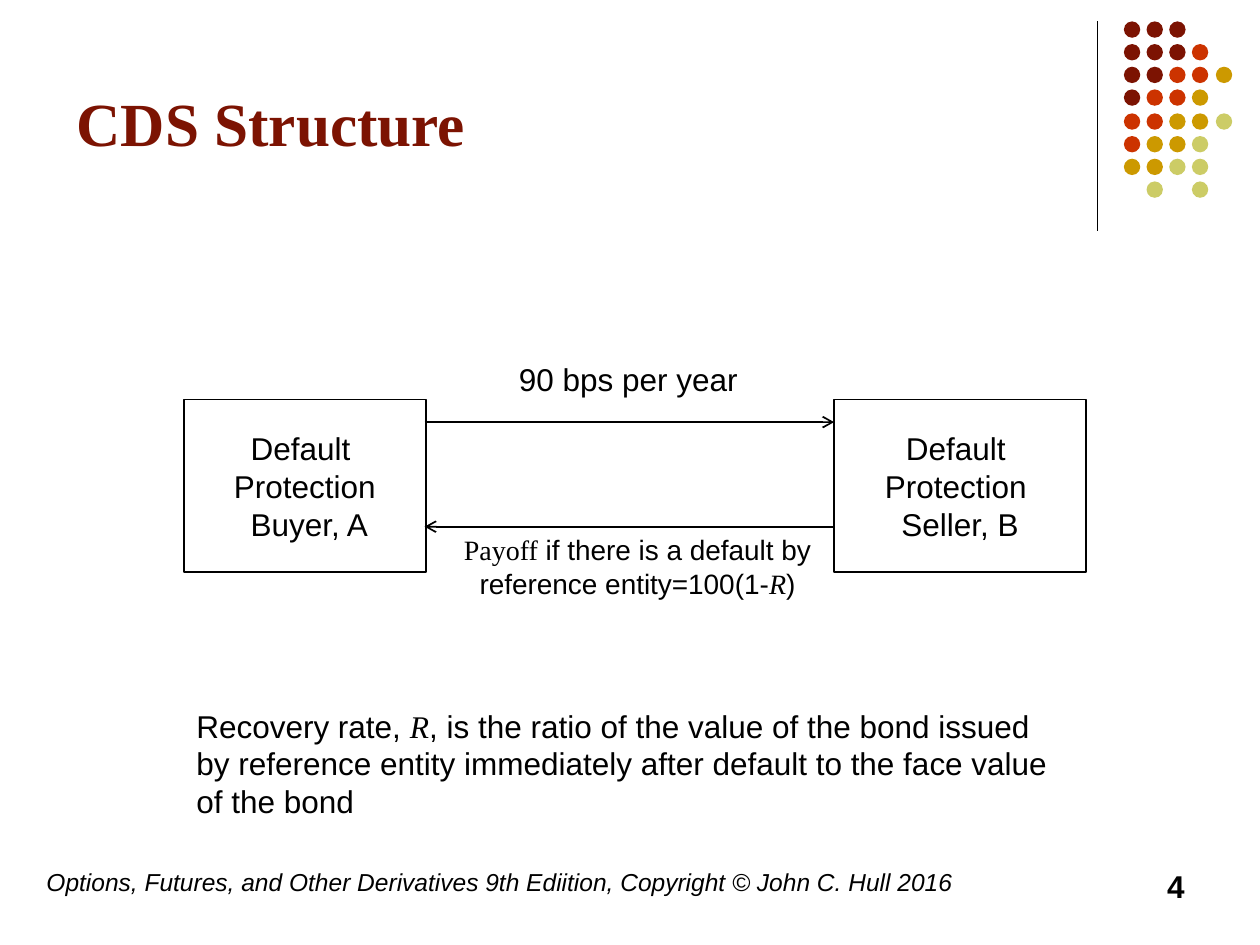
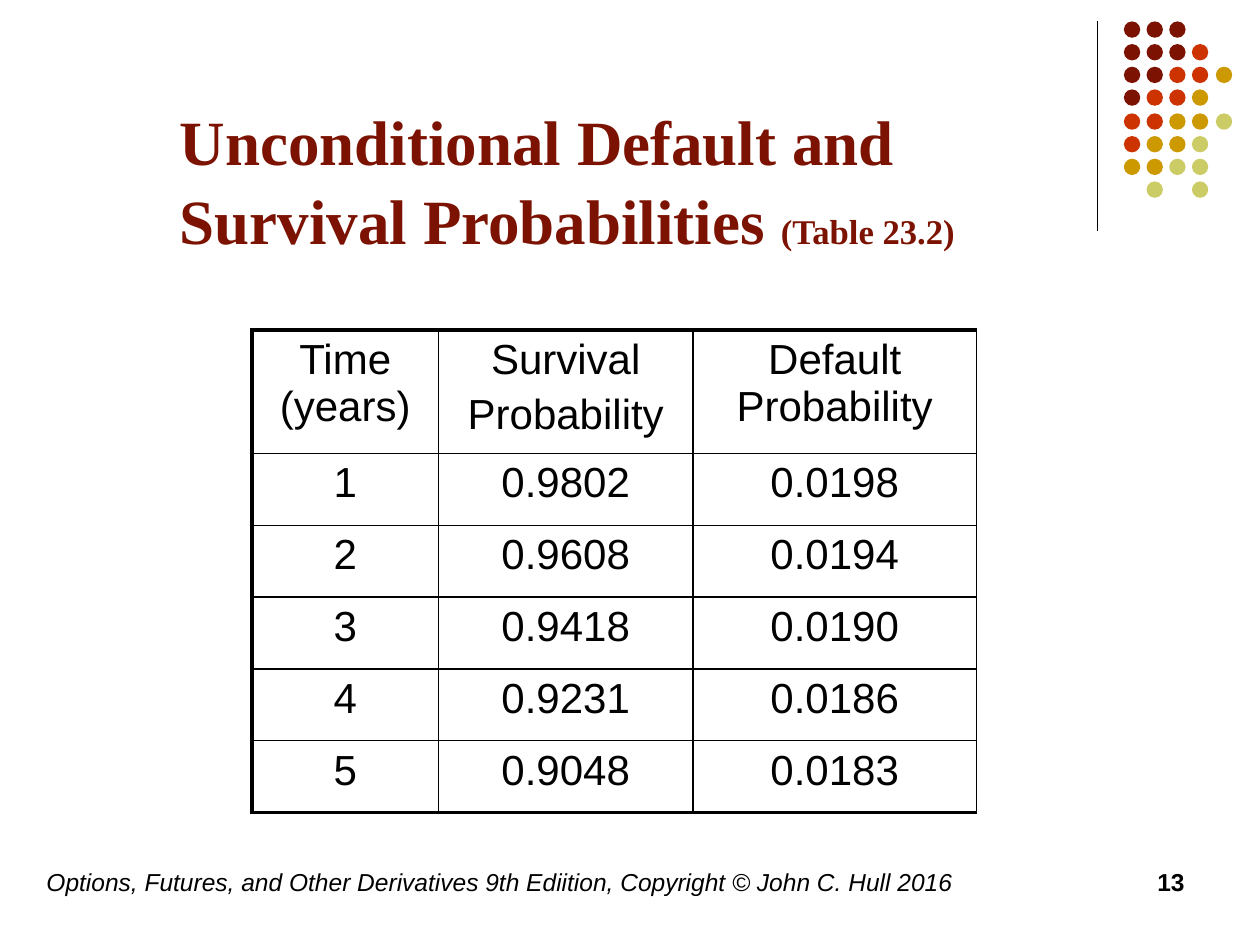
"""Builds two slides on credit default swaps: the contract structure and a probability table."""
from lxml.etree import SubElement
from pptx import Presentation
from pptx.dml.color import RGBColor
from pptx.enum.shapes import MSO_CONNECTOR as LINE, MSO_SHAPE as SHAPE
from pptx.enum.text import MSO_ANCHOR as ANCHOR, PP_ALIGN as ALIGN
from pptx.oxml.ns import qn
from pptx.util import Pt

PX = 9144
COLORS = {"ink": "000000", "paper": "FFFFFF", "maroon": "7C1302",
          "red": "CC3300", "gold": "CC9900", "olive": "CCCC66"}

BODY = {"name": "Arial", "size": Pt(18), "bold": False, "italic": False}
TITLE = {"name": "Times New Roman", "size": Pt(35), "bold": True, "color": "maroon"}
WIDE_TITLE = {**TITLE, "size": Pt(36)}
TITLE_NOTE = {"size": Pt(19.8)}
FOOTER = {"size": Pt(14), "italic": True}
SMALL = {"size": Pt(16)}
SERIF = {"name": "Times New Roman"}
SYMBOL = {**SERIF, "italic": True}
CELL = {"size": Pt(24)}

FOOTER_TEXT = "Options, Futures, and Other Derivatives 9th Ediition, Copyright © John C. Hull 2016"
FOOTER_AT = (27, 683, 855, 50)
NUMBER_AT = (717, 683, 233, 50)
RULE = (871, 17, 871, 183)
DOT_COLORS = {"m": "maroon", "r": "red", "g": "gold", "o": "olive"}
DOT_ROWS = ["mmm", "mmmr", "mmrrg", "mrrg", "rrggo", "rggo", "ggoo", " o o"]
DOT_ORIGIN, DOT_SIZE, DOTS_SPAN, DOTS_IN_SPAN = (892, 17), 13, 73, 4

PARTIES = [
    ((146, 317, 192, 137), ["Default ", "Protection", " Buyer, A"]),
    ((662, 317, 200, 137), ["Default ", "Protection ", "Seller, B"]),
]
PAYMENTS = [(337, 335, 662, 335), (662, 418, 337, 418)]
PREMIUM = [[("90 bps per year", {})]]
PAYOFF = [[("Payoff", SERIF), (" if there is a default by reference entity=100(1-", {}),
           ("R", SYMBOL), (")", {})]]
RECOVERY = [[("Recovery rate, ", {}), ("R", SYMBOL),
             (", is the ratio of the value of the bond issued by reference entity "
              "immediately after default to the face value of the bond", {})]]

PROBABILITIES = [
    (["Time (years)"], ["Survival", "Probability"], ["Default Probability"]),
    (["1"], ["0.9802"], ["0.0198"]),
    (["2"], ["0.9608"], ["0.0194"]),
    (["3"], ["0.9418"], ["0.0190"]),
    (["4"], ["0.9231"], ["0.0186"]),
    (["5"], ["0.9048"], ["0.0183"]),
]
TABLE_AT = (200, 262)
COLUMN_WIDTHS = [148, 202, 225]
ROW_HEIGHTS = [98] + [57] * 5
THIN, THICK = Pt(1), Pt(2.25)


def scaled(lengths):
    return [length * PX for length in lengths]


def rgb(name):
    return RGBColor.from_string(COLORS[name])


def plain(lines):
    return [[(line, {})] for line in lines]


def write(frame, paragraphs, base={}, align=ALIGN.LEFT, gap=0, spacing=None):
    for index, runs in enumerate(paragraphs):
        paragraph = frame.add_paragraph() if index else frame.paragraphs[0]
        paragraph.alignment = align
        paragraph.space_before = Pt(gap if index else 0)
        paragraph.line_spacing = spacing
        for words, changes in runs:
            run = paragraph.add_run()
            run.text = words
            formats = {"color": "ink", **BODY, **base, **changes}
            run.font.color.rgb = rgb(formats.pop("color"))
            for key, value in formats.items():
                setattr(run.font, key, value)


def add_text(slide, at, paragraphs, base={}, anchor=ANCHOR.TOP, **layout):
    frame = slide.shapes.add_textbox(*scaled(at)).text_frame
    frame.word_wrap = True
    frame.vertical_anchor = anchor
    write(frame, paragraphs, base, **layout)


def add_solid(slide, kind, at, fill):
    solid = slide.shapes.add_shape(kind, *scaled(at))
    solid.shadow.inherit = False
    solid.fill.solid()
    solid.fill.fore_color.rgb = rgb(fill)
    solid.line.fill.background()
    return solid


def add_line(slide, ends, width, arrow=False):
    line = slide.shapes.add_connector(LINE.STRAIGHT, *scaled(ends))
    line.line.color.rgb = rgb("ink")
    line.line.width = width
    properties = line.element.spPr
    if arrow:
        SubElement(properties.find(qn("a:ln")), qn("a:tailEnd"), type="arrow")
    SubElement(properties, qn("a:effectLst"))


def add_border(cell, side, width):
    edge = SubElement(cell.get_or_add_tcPr(), qn(f"a:ln{side}"), w=str(width))
    SubElement(SubElement(edge, qn("a:solidFill")), qn("a:srgbClr"), val=COLORS["ink"])


def start_slide(deck, number, number_size):
    slide = deck.slides.add_slide(deck.slide_layouts[6])
    add_line(slide, RULE, Pt(0.75))
    for row, dots in enumerate(DOT_ROWS):
        for column, dot in enumerate(dots):
            if dot in DOT_COLORS:
                left, top = (start + DOTS_SPAN * step // DOTS_IN_SPAN
                             for start, step in zip(DOT_ORIGIN, (column, row)))
                add_solid(slide, SHAPE.OVAL, (left, top, DOT_SIZE, DOT_SIZE), DOT_COLORS[dot])
    add_text(slide, FOOTER_AT, plain([FOOTER_TEXT]), FOOTER)
    add_text(slide, NUMBER_AT, plain([number]), {"size": number_size, "bold": True},
             align=ALIGN.RIGHT)
    return slide


def build_structure(deck):
    slide = start_slide(deck, "4", Pt(18))
    add_text(slide, (51, -11, 824, 142), plain(["CDS Structure"]), TITLE, ANCHOR.BOTTOM)
    for at, lines in PARTIES:
        party = add_solid(slide, SHAPE.RECTANGLE, at, "paper")
        party.line.color.rgb = rgb("ink")
        party.line.width = THIN
        party.text_frame.word_wrap = False
        party.text_frame.vertical_anchor = ANCHOR.MIDDLE
        write(party.text_frame, plain(lines), align=ALIGN.CENTER)
    for ends in PAYMENTS:
        add_line(slide, ends, THIN, arrow=True)
    add_text(slide, (402, 281, 228, 40), PREMIUM)
    add_text(slide, (319, 418, 374, 64), PAYOFF, SMALL, align=ALIGN.CENTER)
    add_text(slide, (146, 556, 709, 100), RECOVERY)


def build_probabilities(deck):
    slide = start_slide(deck, "13", Pt(14))
    heading = [[("Unconditional Default and Survival Probabilities ", {}),
                ("(Table 23.2)", TITLE_NOTE)]]
    add_text(slide, (133, 117, 737, 92), heading, WIDE_TITLE, ANCHOR.BOTTOM, spacing=1.05)
    size = (sum(COLUMN_WIDTHS), sum(ROW_HEIGHTS))
    table = slide.shapes.add_table(len(ROW_HEIGHTS), len(COLUMN_WIDTHS),
                                   *scaled(TABLE_AT + size)).table
    table.first_row = table.horz_banding = False
    for column, width in zip(table.columns, scaled(COLUMN_WIDTHS)):
        column.width = width
    for row, height in zip(table.rows, scaled(ROW_HEIGHTS)):
        row.height = height
    last = len(PROBABILITIES) - 1
    for r, entries in enumerate(PROBABILITIES):
        for c, lines in enumerate(entries):
            cell = table.cell(r, c)
            write(cell.text_frame, plain(lines), CELL, align=ALIGN.CENTER, gap=4.8)
            borders = {"L": c == 0, "R": False, "T": r == 0, "B": r == last}
            for side, outer in borders.items():
                add_border(cell._tc, side, THICK if outer else THIN)
            cell.fill.solid()
            cell.fill.fore_color.rgb = rgb("paper")


def main():
    deck = Presentation()
    deck.slide_width, deck.slide_height = scaled((1000, 750))
    build_structure(deck)
    build_probabilities(deck)
    deck.save("out.pptx")


if __name__ == "__main__":
    main()
